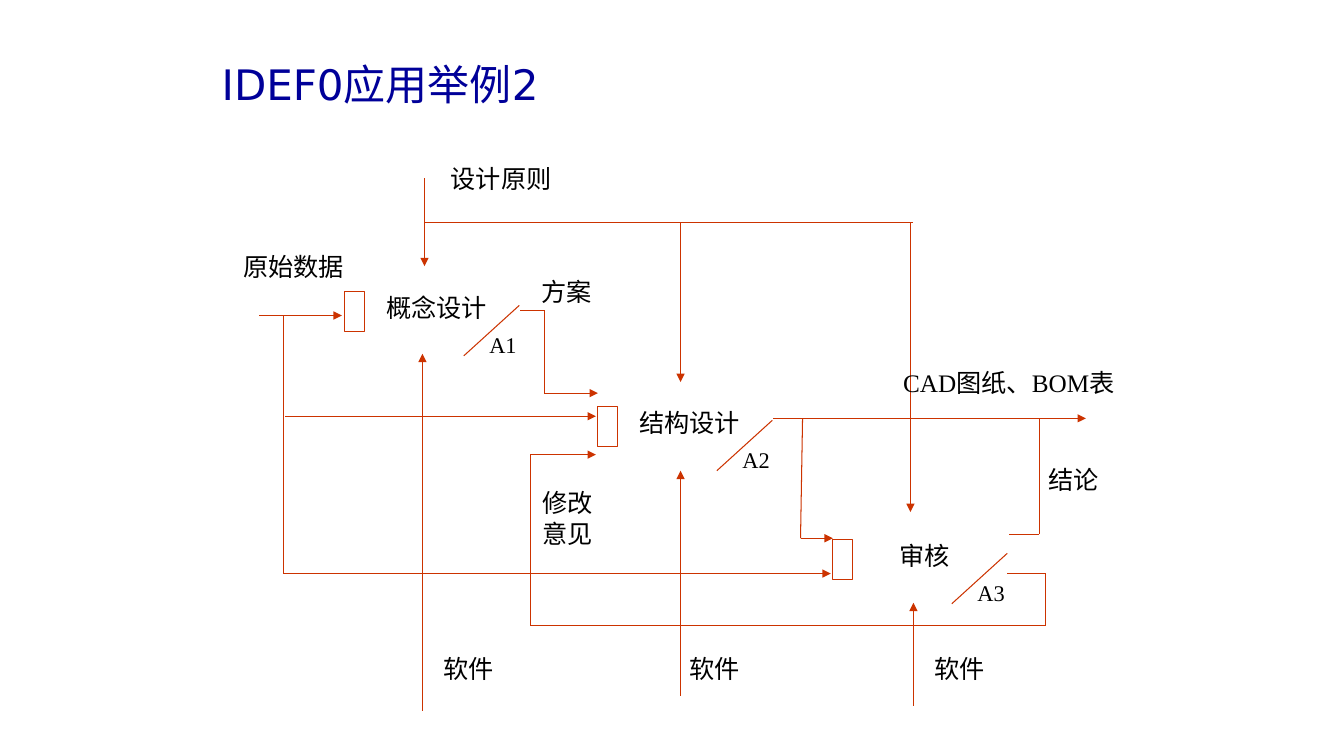
from itertools import pairwise

from pptx import Presentation
from pptx.dml.color import RGBColor
from pptx.enum.shapes import MSO_CONNECTOR as Connector, MSO_SHAPE as Shape
from pptx.enum.text import MSO_ANCHOR as Anchor, MSO_AUTO_SIZE as AutoSize, PP_ALIGN as Align
from pptx.oxml.ns import qn
from pptx.util import Pt
from lxml.etree import SubElement

PX = 9144
THEME = {
    "title_color": RGBColor.from_string("000099"),
    "text_color": RGBColor.from_string("000000"),
    "line_color": RGBColor.from_string("CC3300"),
    "title_font": "DejaVu Sans",
    "text_font": "Times New Roman",
    "title_size": Pt(30),
    "label_size": Pt(18),
    "tag_size": Pt(16),
    "line_width": Pt(0.75),
}

presentation = Presentation()
presentation.slide_width = 1333 * PX
presentation.slide_height = 750 * PX
slide = presentation.slides.add_slide(presentation.slide_layouts[6])


def add_text(text, left, top, width, height, size=THEME["label_size"],
             font=THEME["text_font"], color=THEME["text_color"], align=Align.CENTER,
             anchor=Anchor.TOP, auto_size=AutoSize.SHAPE_TO_FIT_TEXT):
    box = slide.shapes.add_textbox(left * PX, top * PX, width * PX, height * PX)
    frame = box.text_frame
    frame.word_wrap = True
    frame.auto_size = auto_size
    frame.vertical_anchor = anchor
    paragraph = frame.paragraphs[0]
    paragraph.alignment = align
    run = paragraph.add_run()
    run.text = text
    run.font.name = font
    run.font.size = size
    run.font.color.rgb = color


def add_line(start, end, arrow=False):
    (x1, y1), (x2, y2) = start, end
    connector = slide.shapes.add_connector(
        Connector.STRAIGHT, x1 * PX, y1 * PX, x2 * PX, y2 * PX)
    connector.line.color.rgb = THEME["line_color"]
    connector.line.width = THEME["line_width"]
    if arrow:
        SubElement(connector.line._get_or_add_ln(), qn("a:tailEnd"), type="triangle")
    SubElement(connector._element.spPr, qn("a:effectLst"))


add_text("IDEF0应用举例2", 210, 21, 661, 125, size=THEME["title_size"],
         font=THEME["title_font"], color=THEME["title_color"], align=Align.LEFT,
         anchor=Anchor.MIDDLE, auto_size=AutoSize.NONE)

activities = [
    ("概念设计", "A1", 342, 289),
    ("结构设计", "A2", 593, 403),
    ("审核", "A3", 826, 535),
]
for name, tag, left, top in activities:
    add_text(name, left + 21, top - 4, 140, 40)
    shape = slide.shapes.add_shape(Shape.RECTANGLE, left * PX, top * PX, 20 * PX, 40 * PX)
    shape.shadow.inherit = False
    shape.fill.background()
    shape.line.color.rgb = THEME["line_color"]
    shape.line.width = THEME["line_width"]
    add_text(tag, left + 119, top + 35, 76, 37, size=THEME["tag_size"])
    add_line((left + 118, top + 64), (left + 173, top + 14))

arrow_routes = [
    [(257, 313), (339, 313)],
    [(516, 308), (540, 308), (540, 390), (593, 390)],
    [(283, 413), (591, 413)],
    [(767, 415), (1077, 415)],
    [(796, 415), (794, 534), (826, 534)],
    [(281, 313), (281, 569), (824, 569)],
    [(999, 569), (1037, 569), (1037, 621), (526, 621), (526, 451), (591, 451)],
    [(421, 177), (421, 264)],
    [(675, 221), (675, 379)],
    [(903, 221), (903, 508)],
    [(419, 705), (419, 351)],
    [(675, 690), (675, 467)],
    [(906, 700), (906, 598)],
]
plain_routes = [
    [(421, 221), (906, 221)],
    [(1001, 530), (1031, 530), (1031, 415)],
]
for route in arrow_routes + plain_routes:
    for start, end in pairwise(route):
        add_line(start, end, arrow=route in arrow_routes and end == route[-1])

labels = [
    ("设计原则", 419, 157, 156, 40),
    ("原始数据", 227, 244, 128, 40),
    ("方案", 503, 269, 118, 40),
    ("软件", 393, 643, 143, 40),
    ("软件", 655, 643, 107, 40),
    ("软件", 891, 643, 121, 40),
    ("CAD图纸、BOM表", 885, 359, 231, 40),
    ("结论", 1016, 456, 97, 40),
    ("修改意见", 521, 479, 84, 70),
]
for label in labels:
    add_text(*label)

presentation.save("out.pptx")
